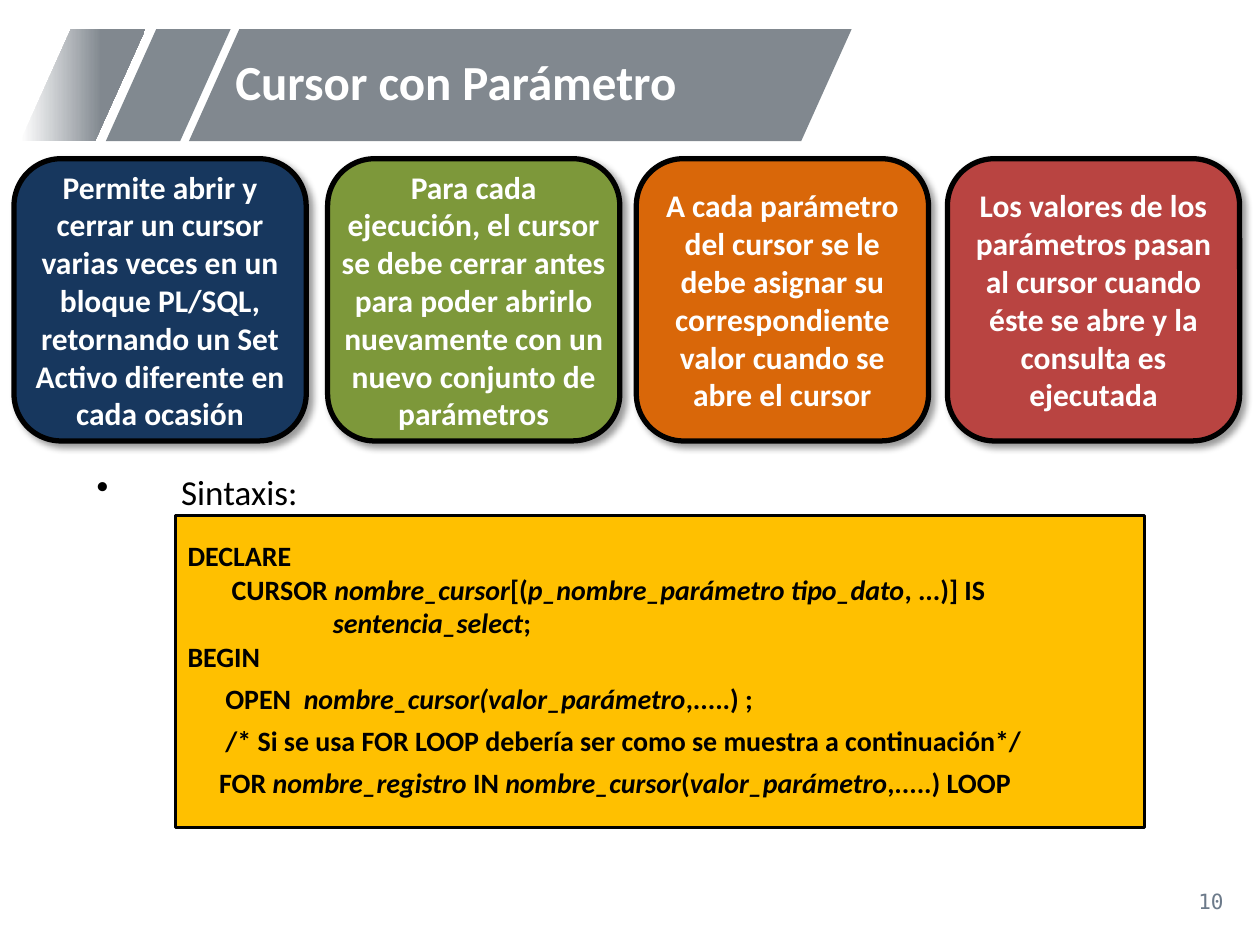
from lxml import etree
from pptx import Presentation
from pptx.dml.color import RGBColor
from pptx.enum.shapes import MSO_SHAPE
from pptx.enum.text import MSO_ANCHOR, PP_ALIGN
from pptx.oxml import parse_xml
from pptx.oxml.ns import nsdecls, qn
from pptx.util import Pt

SLANT = MSO_SHAPE.PARALLELOGRAM
ROUND = MSO_SHAPE.ROUNDED_RECTANGLE
RECT = MSO_SHAPE.RECTANGLE
TOP, MIDDLE = MSO_ANCHOR.TOP, MSO_ANCHOR.MIDDLE
LEFT, CENTER = PP_ALIGN.LEFT, PP_ALIGN.CENTER
RIGHT, JUSTIFY = PP_ALIGN.RIGHT, PP_ALIGN.JUSTIFY

COLORS = {
    "white": "FFFFFF", "black": "000000", "gray": "81888F",
    "ash": "818990", "slate": "6C7A8A", "navy": "17375E",
    "green": "7D983A", "orange": "D96709", "red": "B94441",
    "gold": "FFC000",
}
CARDS = [
    (8, "navy", "Permite abrir y cerrar un cursor varias veces en un bloque "
     "PL/SQL, retornando un Set Activo diferente en cada ocasión"),
    (187.2, "green", "Para cada ejecución, el cursor se debe cerrar antes para "
     "poder abrirlo nuevamente con un nuevo conjunto de parámetros"),
    (363.6, "orange", "A cada parámetro del cursor se le debe asignar su "
     "correspondiente valor cuando se abre el cursor"),
    (541.4, "red", "Los valores de los parámetros pasan al cursor cuando éste "
     "se abre y la consulta es ejecutada"),
]
# Text between bars is italic.
CODE = [
    (1, "DECLARE"),
    (1, "       CURSOR |nombre_cursor|[(|p_nombre_parámetro tipo_dato|, ...)] IS"),
    (1, "                       |sentencia_select|;"),
    (1, "BEGIN"),
    (1.25, "      OPEN  |nombre_cursor(valor_parámetro|,.....) ;"),
    (1.25, "      /* Si se usa FOR LOOP debería ser como se muestra a continuación*/"),
    (1.25, "     FOR |nombre_registro| IN |nombre_cursor|(|valor_parámetro|,.....) LOOP"),
]


def color(name):
    return RGBColor.from_string(COLORS[name])


def style(para, size, tint, bold=False, align=LEFT, face="Calibri"):
    para.alignment = align
    font = para.font
    font.name, font.size, font.bold = face, Pt(size), bold
    font.color.rgb = color(tint)


def add_shape(slide, kind, box, fill, line=None):
    shape = slide.shapes.add_shape(kind, *map(Pt, box))
    shape.shadow.inherit = False
    shape.fill.solid()
    shape.fill.fore_color.rgb = color(fill)
    if line:
        shape.line.color.rgb = color("black")
        shape.line.width = Pt(line)
    else:
        shape.line.fill.background()
    return shape


def add_slant(slide, left, width, fill):
    shape = add_shape(slide, SLANT, (left, 16.6, width, 64), fill)
    shape.adjustments[0] = 0.45
    return shape


def add_fade(shape):
    shape.fill.gradient()
    shape.fill.gradient_angle = 0
    stops = shape.fill.gradient_stops
    for stop, spot, tint in zip(stops, (0, 0.65), ("white", "gray")):
        stop.position = spot
        stop.color.rgb = color(tint)


def add_shadow(shape):
    glow = shape._element.spPr.find(qn("a:effectLst"))
    glow.append(parse_xml(
        f'<a:outerShdw {nsdecls("a")} blurRad="{Pt(4)}" dist="{Pt(3)}" '
        'dir="2700000" algn="tl" rotWithShape="0"><a:srgbClr val="000000">'
        '<a:alpha val="40000"/></a:srgbClr></a:outerShdw>'))


def add_card(slide, left, fill, text):
    card = add_shape(slide, ROUND, (left, 90.7, 167, 161.3), fill, 3)
    add_shadow(card)
    frame = card.text_frame
    frame.word_wrap = True
    frame.vertical_anchor = MIDDLE
    frame.margin_left = frame.margin_right = 0
    frame.margin_top = frame.margin_bottom = 0
    frame.text = text
    style(frame.paragraphs[0], 18, "white", True, CENTER)


def add_text(slide, box, text, anchor=MIDDLE):
    frame = slide.shapes.add_textbox(*map(Pt, box)).text_frame
    frame.word_wrap = True
    frame.vertical_anchor = anchor
    frame.text = text
    return frame.paragraphs[0]


def add_bullet(para, indent):
    props = para._p.get_or_add_pPr()
    props.set("marL", str(Pt(indent)))
    props.set("indent", str(-Pt(indent)))
    etree.SubElement(props, qn("a:buChar"), char="•")


def add_code(slide, box):
    frame = add_shape(slide, RECT, box, "gold", 1.75).text_frame
    frame.word_wrap = True
    frame.vertical_anchor = TOP
    frame.margin_top = Pt(13.4)
    for row, (space, text) in enumerate(CODE):
        para = frame.add_paragraph() if row else frame.paragraphs[0]
        style(para, 16, "black", True)
        para.line_spacing = space
        for part, words in enumerate(text.split("|")):
            run = para.add_run()
            run.text = words
            if part % 2:
                run.font.italic = True


def main():
    deck = Presentation()
    deck.slide_width, deck.slide_height = Pt(720), Pt(540)
    slide = deck.slides.add_slide(deck.slide_layouts[6])

    add_slant(slide, 108, 378.7, "gray")
    add_slant(slide, 60.5, 71.3, "ash")
    add_fade(add_slant(slide, 11.8, 71.3, "gray"))

    page = add_text(slide, (544.3, 500.4, 162, 28.8), "10")
    style(page, 12, "slate", align=RIGHT, face="DejaVu Sans Mono")
    title = add_text(slide, (127.4, 16.6, 337.7, 64), "Cursor con Parámetro")
    style(title, 28, "white", True)
    title.line_spacing = 0.9

    for card in CARDS:
        add_card(slide, *card)

    syntax = add_text(slide, (48.2, 270, 617.8, 32.4), "Sintaxis:", TOP)
    add_bullet(syntax, 48.2)
    style(syntax, 20, "black", align=JUSTIFY)
    syntax.line_spacing = 0.8
    add_code(slide, (100.1, 294.5, 553.7, 178.6))

    deck.save("out.pptx")


if __name__ == "__main__":
    main()
